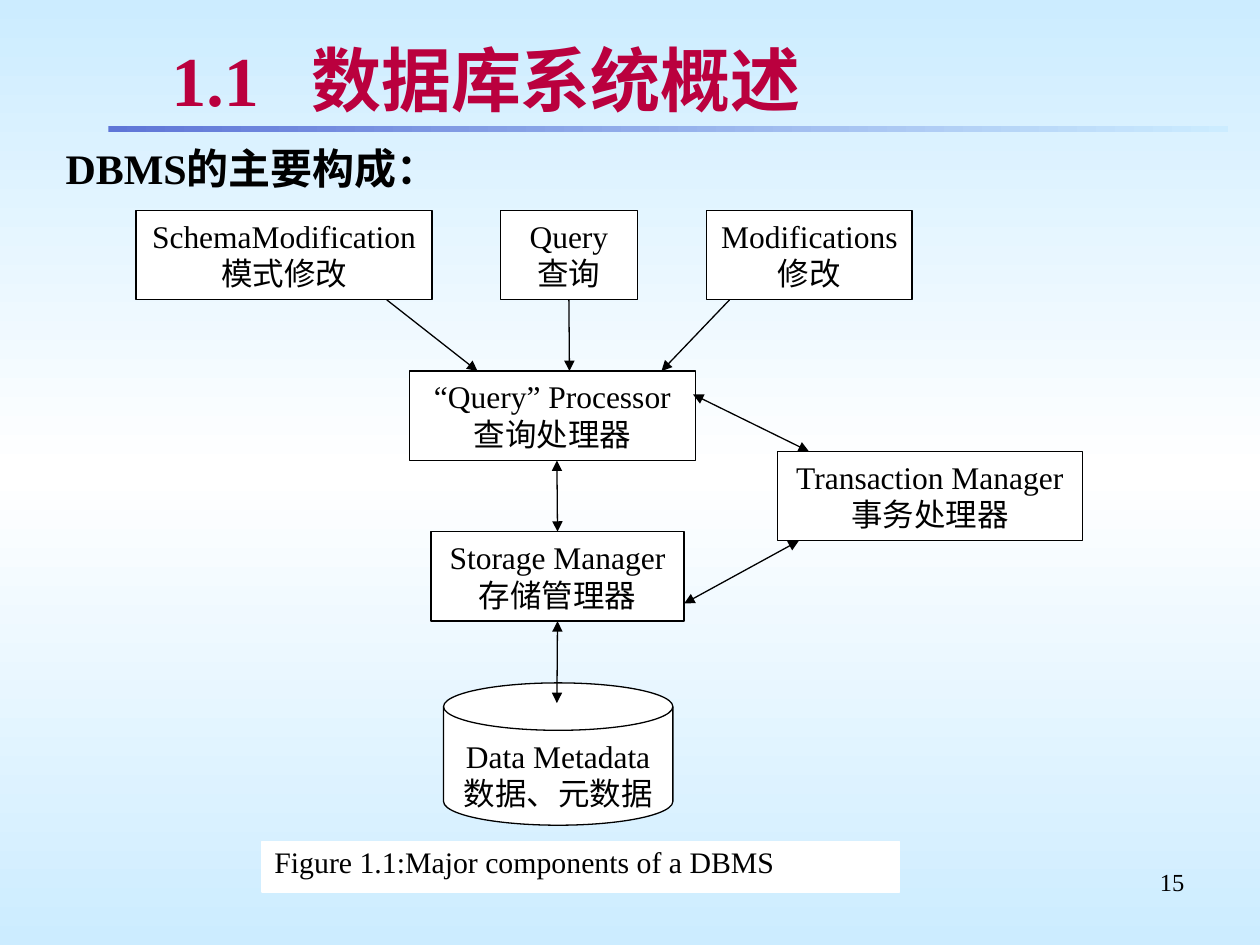
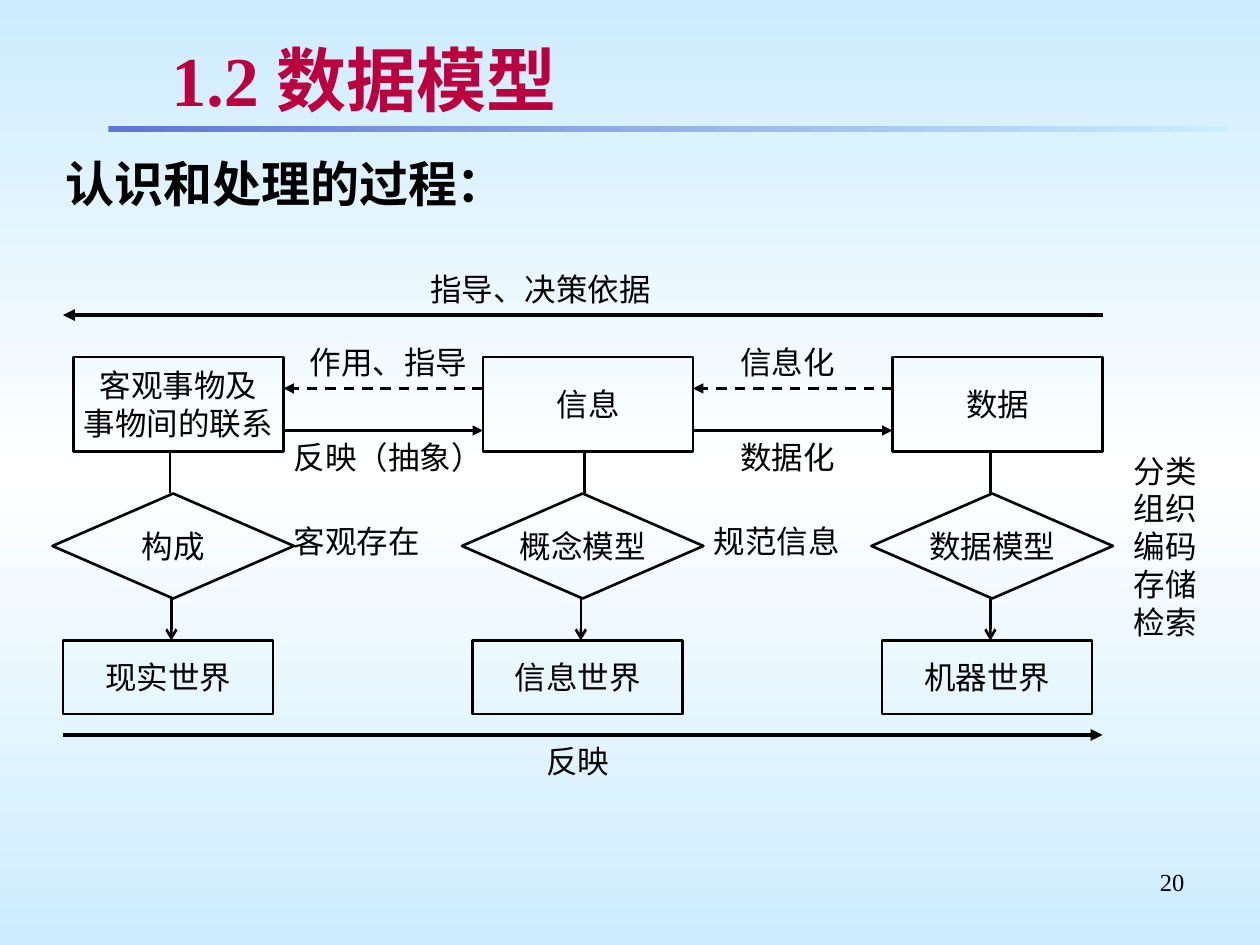
from lxml import etree
from pptx import Presentation
from pptx.dml.color import RGBColor
from pptx.enum.dml import MSO_LINE
from pptx.enum.shapes import MSO_CONNECTOR, MSO_SHAPE
from pptx.enum.text import MSO_ANCHOR, MSO_AUTO_SIZE, PP_ALIGN
from pptx.oxml.ns import qn
from pptx.util import Inches, Pt

RECT, DIAMOND = MSO_SHAPE.RECTANGLE, MSO_SHAPE.DIAMOND
DISK = MSO_SHAPE.FLOWCHART_MAGNETIC_DISK
STRAIGHT, DASH = MSO_CONNECTOR.STRAIGHT, MSO_LINE.DASH
LEFT, CENTER, RIGHT, JUSTIFY = PP_ALIGN.LEFT, PP_ALIGN.CENTER, PP_ALIGN.RIGHT, PP_ALIGN.JUSTIFY
TOP, MIDDLE = MSO_ANCHOR.TOP, MSO_ANCHOR.MIDDLE
NO_FIT = MSO_AUTO_SIZE.NONE
TOP_SIDE, BOTTOM_SIDE = 0, 2

SERIF, SANS = "Times New Roman", "Arial"
BLACK, WHITE, CRIMSON, GREY = "000000", "FFFFFF", "BA003E", "C0C0C0"
SKY, BLUE = "CCECFF", "5F76D7"


def color(code):
    return RGBColor.from_string(code)


def cells(*counts):
    """Lengths in inches on a grid of twelve cells to the inch."""
    return [count / 12 for count in counts]


def place(shape, x, y, w, h):
    shape.left, shape.top, shape.width, shape.height = map(Inches, (x, y, w, h))


# Text
def add_child(parent, tag, **attributes):
    return etree.SubElement(parent, qn(tag), **attributes)


def shade_text(run):
    effects = etree.Element(qn("a:effectLst"))
    shadow = add_child(effects, "a:outerShdw", dist="25400", dir="2700000", algn="tl")
    add_child(shadow, "a:srgbClr", val=GREY)
    run.font.element.find(qn("a:solidFill")).addnext(effects) if hasattr(
        run.font, "element") else run._r.rPr.find(qn("a:solidFill")).addnext(effects)


def write(shape, text, size=18, font=SERIF, ink=BLACK, bold=False, align=CENTER,
          anchor=TOP, wrap=True, inset=0.05, spacing=1.0, tab=None, hanging=None,
          shaded=False):
    frame = shape.text_frame
    frame.auto_size, frame.word_wrap, frame.vertical_anchor = NO_FIT, wrap, anchor
    frame.margin_left = frame.margin_right = Inches(0.1)
    frame.margin_top = frame.margin_bottom = Inches(inset)
    for number, line in enumerate(text.split("\n")):
        paragraph = frame.add_paragraph() if number else frame.paragraphs[0]
        properties = paragraph._p.get_or_add_pPr()
        if hanging:
            properties.set("marL", str(Inches(hanging)))
            properties.set("indent", str(-Inches(hanging)))
            add_child(properties, "a:buNone")
        if tab:
            stops = add_child(properties, "a:tabLst")
            add_child(stops, "a:tab", pos=str(Inches(tab)), algn="l")
        paragraph.alignment, paragraph.line_spacing = align, spacing
        paragraph.space_before = Pt(0)
        run = paragraph.add_run()
        run.text = line
        run.font.size, run.font.name, run.font.bold = Pt(size), font, bold
        run.font.color.rgb = color(ink)
        if shaded:
            shade_text(run)


def label(slide, text, x, y, w, h, **style):
    words = slide.shapes.add_textbox(*map(Inches, (x, y, w, h)))
    write(words, text, **style)


# Shapes and lines
def node(slide, text, x, y, w, h, kind=RECT, fill=None, edge=BLACK, weight=0.75, **style):
    shape = slide.shapes.add_shape(kind, *map(Inches, (x, y, w, h)))
    shape.shadow.inherit = False
    if fill:
        shape.fill.solid()
        shape.fill.fore_color.rgb = color(fill)
    else:
        shape.fill.background()
    shape.line.color.rgb = color(edge)
    shape.line.width = Pt(weight)
    write(shape, text, **style)
    return shape


def link(slide, start, end, weight=0.75, head=None, tail=None, dash=None,
         begin=None, finish=None):
    """Line between two points; begin and finish are (shape, side) joints."""
    line = slide.shapes.add_connector(STRAIGHT, *map(Inches, (*start, *end)))
    if begin:
        line.begin_connect(*begin)
    if finish:
        line.end_connect(*finish)
    line.line.color.rgb = color(BLACK)
    line.line.width = Pt(weight)
    if dash:
        line.line.dash_style = dash
    stroke = line.line._get_or_add_ln()
    for tag, arrow in (("a:headEnd", head), ("a:tailEnd", tail)):
        if arrow:
            add_child(stroke, tag, type=arrow)
    add_child(line._element.spPr, "a:effectLst")


# Shared look
def blend(fill, owner, codes, angle):
    fill.gradient()
    fill.gradient_angle = angle
    stops = next(owner.iter(qn("a:gsLst")))
    for stop in list(stops):
        stops.remove(stop)
    for number, code in enumerate(codes):
        position = 100000 * number // (len(codes) - 1)
        stop = add_child(stops, "a:gs", pos=str(position))
        add_child(stop, "a:srgbClr", val=code)


def style_master(deck, slide):
    master = deck.slide_master
    blend(master.background.fill, master.element, (SKY, WHITE, SKY), 270)
    rule = slide.shapes.add_shape(RECT, *map(Inches, (0.86, 1, 8.89, 0.05)))
    rule.shadow.inherit = False
    rule.line.fill.background()
    blend(rule.fill, rule._element, (BLUE, SKY), 0)
    master.shapes.element.append(rule._element)


def start_slide(slide, title, topic, topic_top, topic_height, topic_size, number, tab=None):
    heading, body = slide.shapes.title, slide.placeholders[1]
    place(heading, 1.26, 0.29, 8.24, 0.67)
    write(heading, title, size=40, ink=CRIMSON, bold=True, align=LEFT, anchor=MIDDLE,
          inset=0.04, tab=tab, shaded=True)
    place(body, 0.42, topic_top, 9.25, topic_height)
    write(body, topic, size=topic_size, bold=True, align=LEFT, hanging=0.38)
    label(slide, number, 7.17, 6.83, 2.33, 0.52, size=14, align=RIGHT)


# DBMS components
def draw_components(slide):
    height = 0.71

    def row(number):
        return 1.67 + 1.275 * number

    def component(text, x, level, w):
        return node(slide, text, x, row(level), w, height, fill=WHITE)

    def arrow(start, end, both=True, **joints):
        link(slide, start, end, head="triangle" if both else None, tail="triangle", **joints)

    component("SchemaModification\n模式修改", 1.08, 0, 2.35)
    query = component("Query\n查询", 3.97, 0, 1.09)
    component("Modifications\n修改", 5.61, 0, 1.63)
    component("“Query” Processor\n查询处理器", 3.25, 1, 2.27)
    component("Transaction Manager\n事务处理器", 6.17, 1.5, 2.42)
    storage = component("Storage Manager\n存储管理器", 3.42, 2, 2.01)
    node(slide, "Data Metadata\n数据、元数据", 3.52, 5.42, 1.82, 1.13, kind=DISK, fill=WHITE)

    # Requests into the processor
    input_bottom = row(0) + height
    for start_x, end_x, joint in ((3.07, 3.79, None), (4.52, 4.52, (query, BOTTOM_SIDE)),
                                  (5.79, 5.25, None)):
        arrow((start_x, input_bottom), (end_x, row(1)), both=False, begin=joint)

    # Exchange between the managers and the data
    arrow((4.42, row(1) + height), (4.42, row(2)), finish=(storage, TOP_SIDE))
    arrow((4.42, row(2) + height), (4.42, 5.58), begin=(storage, BOTTOM_SIDE))
    arrow((5.5, 3.13), (6.42, row(1.5)))
    arrow((6.34, row(1.5) + height), (5.43, 4.79))
    node(slide, "Figure 1.1:Major components of a DBMS", 2.08, 6.68, 5.06, 0.4,
         fill=WHITE, edge=WHITE, size=17, align=JUSTIFY, spacing=0.9)


# Three worlds, on the grid of cells
def draw_worlds(slide):
    pitch = 39
    plain = {"font": SANS, "anchor": MIDDLE, "wrap": False}
    worlds = (("客观事物及\n事物间的联系", "构成", "现实世界", 1.35),
              ("信息", "概念模型", "信息世界", 4.64),
              ("数据", "数据模型", "机器世界", 7.86))
    for number, (content, model, world, stem) in enumerate(worlds):
        shift = pitch * number
        for text, x, y, w, h, kind in ((content, 7, 34, 20, 9, RECT),
                                       (model, 5, 47, 23, 10, DIAMOND),
                                       (world, 6, 61, 20, 7, RECT)):
            node(slide, text, *cells(x + shift, y, w, h), kind=kind, weight=1.5, **plain)
        link(slide, (stem, 43 / 12), (stem, 47 / 12), weight=1.5)
        drop = 1.36 + pitch / 12 * number
        link(slide, (drop, 57 / 12), (drop, 61 / 12), weight=1.5, tail="arrow")

    # Exchange between neighbouring worlds
    steps = (("作用、指导", "反映（抽象）", "客观存在", 27, 27),
             ("信息化", "数据化", "规范信息", 65, 67))
    for number, (back, forth, note, label_x, note_x) in enumerate(steps):
        left, right = 27 + pitch * number, 46 + pitch * number
        link(slide, cells(right, 37), cells(left, 37), weight=1.5, tail="triangle", dash=DASH)
        link(slide, cells(left, 41), cells(right, 41), weight=1.5, tail="triangle")
        label(slide, back, *cells(label_x, 32, 20, 5), **plain)
        label(slide, forth, *cells(label_x, 41, 20, 5), **plain)
        label(slide, note, *cells(note_x, 49, 14, 5), **plain)
    label(slide, "分类\n组织\n编码\n存储\n检索", *cells(107, 42, 8, 20), **plain)

    # Overall directions
    for text, start, end, y, x, label_y, w in (("指导、决策依据", 105, 6, 30, 40, 25, 23),
                                               ("反映", 6, 105, 70, 45, 70, 20)):
        link(slide, cells(start, y), cells(end, y), weight=2.25, tail="triangle")
        label(slide, text, *cells(x, label_y, w, 5), **plain)


def main():
    deck = Presentation()
    deck.slide_width, deck.slide_height = Inches(10), Inches(7.5)
    layout = deck.slide_layouts[1]
    components, worlds = (deck.slides.add_slide(layout) for _ in range(2))
    style_master(deck, components)

    start_slide(components, "1.1\t数据库系统概述", "DBMS的主要构成：", 1.08, 0.51, 24, "15", tab=1.11)
    draw_components(components)
    start_slide(worlds, "1.2 数据模型", "认识和处理的过程：", 1.17, 0.69, 28, "20")
    draw_worlds(worlds)
    deck.save("out.pptx")


if __name__ == "__main__":
    main()
